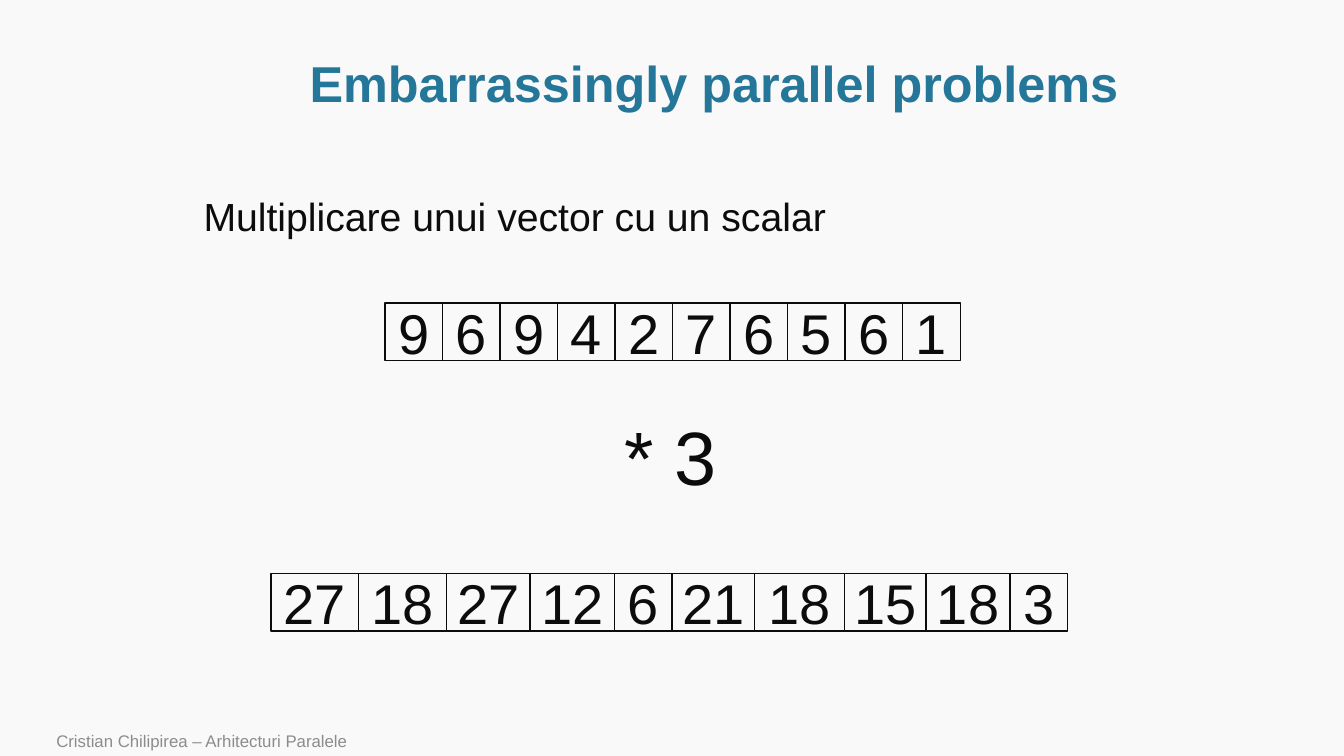
"""Build the slide on multiplying a vector by a scalar."""
from itertools import accumulate

from pptx import Presentation
from pptx import util as u
from pptx.dml.color import RGBColor
from pptx.enum import shapes, text

COLOURS = {"background": "F9F9F9", "title": "247798", "ink": "0C0C0C", "footer": "8C8C8C"}
CELL_SIDE = 1.45
VECTOR = [9, 6, 9, 4, 2, 7, 6, 5, 6, 1]
SCALAR = 3
PRODUCT_WIDTHS = [2.21, 2.21, 2.11, 2.13, CELL_SIDE, 2.08, 2.26, 2.06, 2.11, CELL_SIDE]


def colour(name):
    """Return the named colour."""
    return RGBColor.from_string(COLOURS[name])


def set_all(target, values):
    """Set each attribute of the target from a dict."""
    for attribute, value in values.items():
        setattr(target, attribute, value)


def write(frame, words, size, ink="ink", bold=False, paragraph_format=None, **frame_format):
    """Write one formatted paragraph into a text frame."""
    set_all(frame, frame_format)
    paragraph = frame.paragraphs[0]
    set_all(paragraph, paragraph_format or {})
    run = paragraph.add_run()
    run.text = words
    set_all(run.font, {"name": "Arial", "size": u.Pt(size), "bold": bold})
    run.font.color.rgb = colour(ink)


def add_label(slide, place, words, size, **formats):
    """Add a text box at a place given in centimetres."""
    label = slide.shapes.add_textbox(*map(u.Cm, place))
    write(label.text_frame, words, size, **formats)


def add_cell(slide, place, number):
    """Add one outlined cell holding a number."""
    cell = slide.shapes.add_shape(shapes.MSO_SHAPE.RECTANGLE, *map(u.Cm, place))
    cell.shadow.inherit = False
    cell.fill.background()
    cell.line.color.rgb = colour("ink")
    cell.line.width = u.Pt(1)
    write(cell.text_frame, str(number), 40,
          paragraph_format={"alignment": text.PP_ALIGN.CENTER},
          vertical_anchor=text.MSO_ANCHOR.MIDDLE, word_wrap=True,
          margin_left=0, margin_right=0)


def add_vector(slide, left, top, numbers, widths):
    """Add a row of touching cells."""
    edges = accumulate(widths, initial=left)
    for edge, width, number in zip(edges, widths, numbers):
        add_cell(slide, (edge, top, width, CELL_SIDE), number)


def main():
    """Build and save the slide."""
    deck = Presentation()
    set_all(deck, {"slide_width": u.Cm(33.87), "slide_height": u.Cm(19.05)})
    slide = deck.slides.add_slide(deck.slide_layouts[6])
    slide.background.fill.solid()
    slide.background.fill.fore_color.rgb = colour("background")

    growing = {"word_wrap": False, "auto_size": text.MSO_AUTO_SIZE.SHAPE_TO_FIT_TEXT}
    add_label(slide, (2.9, 1.3, 30.2, 1.75), "Embarrassingly parallel problems", 36,
              ink="title", bold=True, word_wrap=True,
              vertical_anchor=text.MSO_ANCHOR.MIDDLE,
              paragraph_format={"alignment": text.PP_ALIGN.CENTER, "line_spacing": 0.9})
    add_label(slide, (4.88, 4.72, 16.4, 1.45), "Multiplicare unui vector cu un scalar", 28,
              **growing)
    add_vector(slide, 9.7, 7.64, VECTOR, [CELL_SIDE] * len(VECTOR))
    add_label(slide, (15.49, 10.21, 2.87, 2.57), f"* {SCALAR}", 54, **growing)
    add_vector(slide, 6.83, 14.45, [SCALAR * number for number in VECTOR], PRODUCT_WIDTHS)
    add_label(slide, (1.17, 18.34, 24.95, 0.71), "Cristian Chilipirea – Arhitecturi Paralele", 12,
              ink="footer", word_wrap=True, vertical_anchor=text.MSO_ANCHOR.BOTTOM)
    deck.save("out.pptx")


if __name__ == "__main__":
    main()
